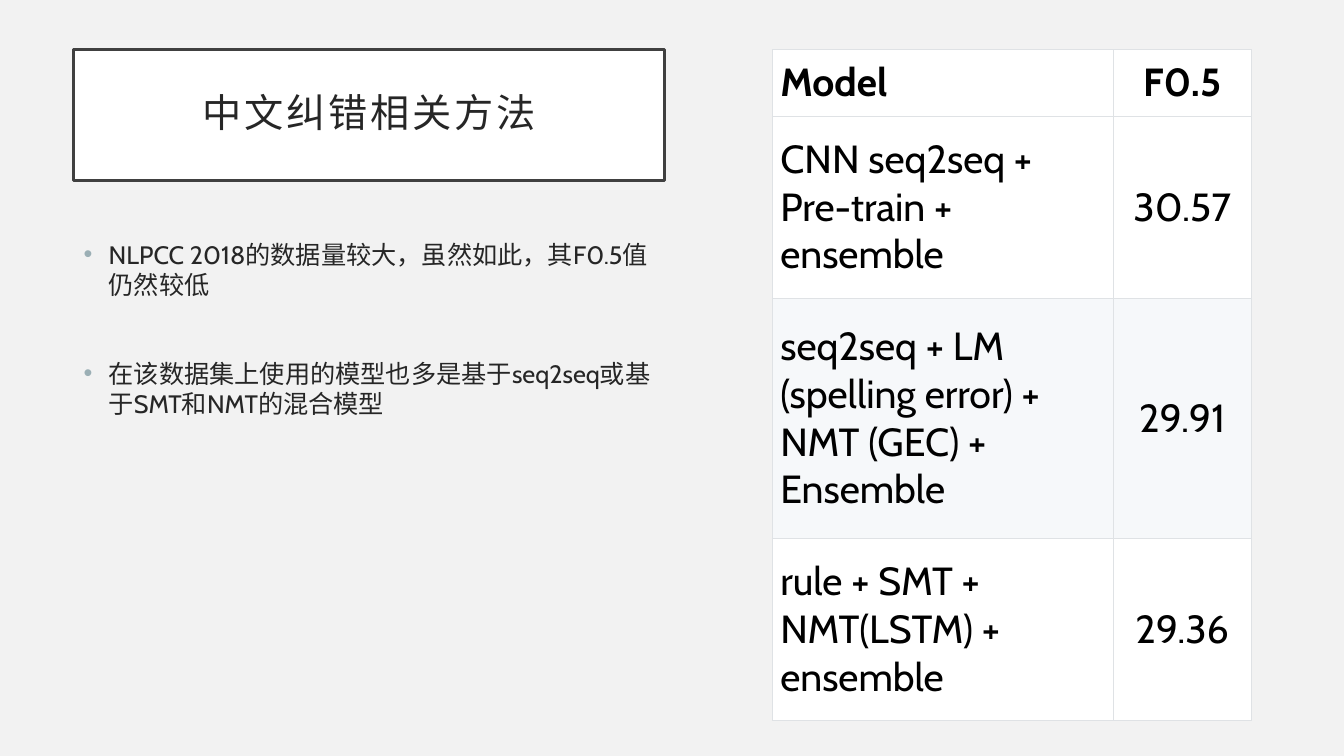
from dataclasses import dataclass

from lxml import etree
from pptx import Presentation
from pptx.dml.color import RGBColor
from pptx.enum.shapes import MSO_SHAPE
from pptx.enum.text import MSO_ANCHOR, PP_ALIGN
from pptx.oxml.ns import qn
from pptx.util import Inches, Pt

RECT = MSO_SHAPE.RECTANGLE
MIDDLE = MSO_ANCHOR.MIDDLE
LEFT, CENTER = PP_ALIGN.LEFT, PP_ALIGN.CENTER


@dataclass(frozen=True)
class Theme:
    font: str = "Cabin"
    page: str = "F2F2F2"
    white: str = "FFFFFF"
    band: str = "F6F8FA"
    frame: str = "404040"
    ink: str = "262626"
    black: str = "000000"
    dot: str = "9BAFB5"
    grid: str = "DFE2E5"
    large: int = 28
    body: int = 18


THEME = Theme()
TITLE = "中文纠错相关方法"
POINTS = [
    "NLPCC 2018的数据量较大，虽然如此，其F0.5值仍然较低",
    "在该数据集上使用的模型也多是基于seq2seq或基于SMT和NMT的混合模型",
]
SCORES = [
    ("Model", "F0.5"),
    ("CNN seq2seq + Pre-train + ensemble", "30.57"),
    ("seq2seq + LM (spelling error) + NMT (GEC) + Ensemble", "29.91"),
    ("rule + SMT + NMT(LSTM) + ensemble", "29.36"),
]
WIDTHS = [3.38, 1.37]
HEIGHTS = [0.66, 1.81, 2.38, 1.81]


def paint(fill, color):
    fill.solid()
    fill.fore_color.rgb = RGBColor.from_string(color)


def style(para, size, color, bold=False):
    for run in para.runs:
        font = run.font
        font.name, font.size, font.bold = THEME.font, Pt(size), bold
        font.color.rgb = RGBColor.from_string(color)


def add_title(slide, text):
    box = slide.shapes.add_shape(RECT, Inches(0.73), Inches(0.49), Inches(5.86), Inches(1.3))
    box.shadow.inherit = False
    paint(box.fill, THEME.white)
    paint(box.line.fill, THEME.frame)
    box.line.width = Pt(2.5)
    frame = box.text_frame
    frame.word_wrap = True
    frame.vertical_anchor = MIDDLE
    frame.margin_left = frame.margin_right = Inches(0.2)
    frame.margin_top = frame.margin_bottom = Inches(0.2)
    frame.text = text
    para = frame.paragraphs[0]
    para.alignment = CENTER
    para.line_spacing = 0.9
    style(para, THEME.large, THEME.ink)
    para.runs[0].font._element.set("spc", "200")


def add_dot(para):
    props = para._p.get_or_add_pPr()
    props.set("marL", str(Inches(0.25)))
    props.set("indent", str(Inches(-0.25)))
    color = etree.SubElement(props, qn("a:buClr"))
    etree.SubElement(color, qn("a:srgbClr"), val=THEME.dot)
    etree.SubElement(props, qn("a:buFont"), typeface="Arial")
    etree.SubElement(props, qn("a:buChar"), char="•")


def add_points(slide, points):
    box = slide.shapes.add_textbox(Inches(0.73), Inches(2.32), Inches(5.98), Inches(3.39))
    frame = box.text_frame
    frame.word_wrap = True
    frame.text = "\n".join(points)
    for index, para in enumerate(frame.paragraphs):
        para.space_before = Pt(42 if index else 10)
        add_dot(para)
        style(para, THEME.body, THEME.ink)


def add_edges(cell):
    props = cell._tc.get_or_add_tcPr()
    for index, side in enumerate(("L", "R", "T", "B")):
        edge = etree.Element(qn(f"a:ln{side}"), w=str(Pt(0.6)))
        fill = etree.SubElement(edge, qn("a:solidFill"))
        etree.SubElement(fill, qn("a:srgbClr"), val=THEME.grid)
        props.insert(index, edge)


def fill_cell(cell, text, align, back, bold):
    cell.text = text
    cell.vertical_anchor = MIDDLE
    cell.margin_left = cell.margin_right = Inches(0.08)
    cell.margin_top = cell.margin_bottom = Inches(0.04)
    paint(cell.fill, back)
    add_edges(cell)
    para = cell.text_frame.paragraphs[0]
    para.alignment = align
    style(para, THEME.large, THEME.black, bold)


def add_scores(slide, rows):
    size = Inches(sum(WIDTHS)), Inches(sum(HEIGHTS))
    table = slide.shapes.add_table(
        len(rows), len(WIDTHS), Inches(7.66), Inches(0.49), *size
    ).table
    table.first_row = table.horz_banding = False
    for col, width in zip(table.columns, WIDTHS):
        col.width = Inches(width)
    for row, height in zip(table.rows, HEIGHTS):
        row.height = Inches(height)
    for r, texts in enumerate(rows):
        back = THEME.band if r == 2 else THEME.white
        for c, (text, align) in enumerate(zip(texts, (LEFT, CENTER))):
            fill_cell(table.cell(r, c), text, align, back, r == 0)


def main():
    deck = Presentation()
    deck.slide_width, deck.slide_height = Inches(13.33), Inches(7.5)
    slide = deck.slides.add_slide(deck.slide_layouts[6])
    paint(slide.background.fill, THEME.page)
    add_title(slide, TITLE)
    add_points(slide, POINTS)
    add_scores(slide, SCORES)
    deck.save("out.pptx")


if __name__ == "__main__":
    main()
